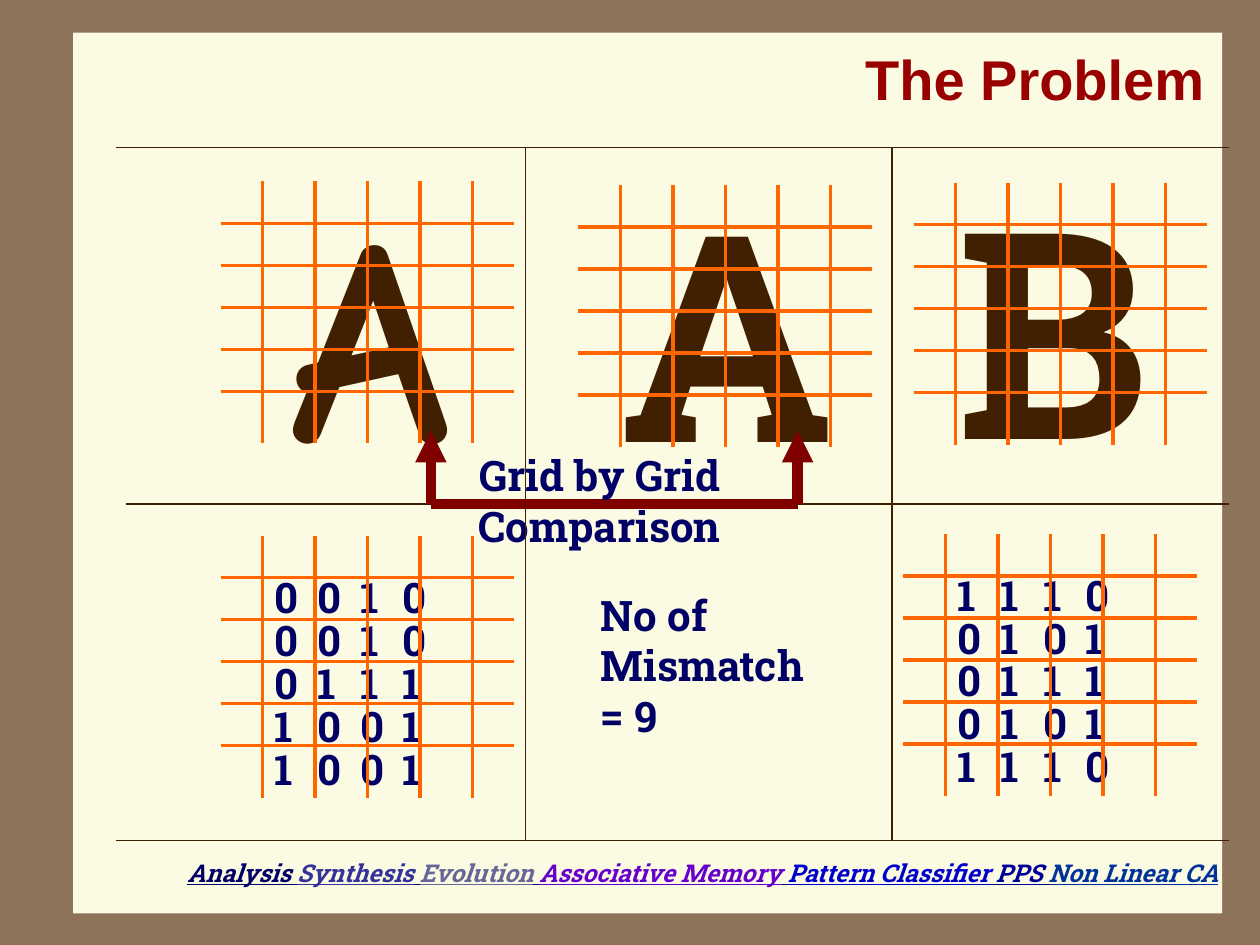
from typing import NamedTuple

from lxml import etree
from pptx import Presentation
from pptx import util as u
from pptx.dml.color import RGBColor
from pptx.enum import shapes, text
from pptx.oxml.ns import qn

BROWN, ORANGE, MAROON, NAVY = "402000", "FF6600", "800000", "000066"
SLAB = "Roboto Slab"
LEFT, RIGHT = 0.92, 9.75
TOP, MIDDLE, BOTTOM = 1.17, 4, 6.67
COLUMNS = (4.17, 7.08)
GRID_LINES = 5
CELL_W, CELL_H = 5 / 12, 1 / 3
MARGIN = 1 / 3
DIGIT_STEP = 0.34


class Box(NamedTuple):
    x: float
    y: float
    w: float
    h: float


class Style(NamedTuple):
    size: float
    font: str = SLAB
    color: str = NAVY
    italic: bool = False
    underline: bool = False


class Letter(NamedTuple):
    char: str
    font: str
    box: Box
    grid: tuple[float, float]


class Digits(NamedTuple):
    rows: tuple[str, ...]
    box: Box
    grid: tuple[float, float]


LABEL = Style(24)
LETTERS = (
    Letter("A", "Comic Neue", Box(2.21, 1.17, 1.47, 2.85), (1.75, 1.44)),
    Letter("A", SLAB, Box(4.83, 1.17, 1.85, 2.85), (4.59, 1.47)),
    Letter("B", SLAB, Box(7.5, 1.15, 1.85, 2.85), (7.25, 1.45)),
)
DIGITS = (
    Digits(("0010", "0010", "0111", "1001", "1001"),
           Box(2.08, 4.55, 1.76, 1.8), (1.75, 4.25)),
    Digits(("1110", "0101", "0111", "0101", "1110"),
           Box(7.5, 4.53, 1.76, 1.8), (7.17, 4.24)),
)
TOPICS = (
    ("Analysis", NAVY), ("Synthesis", "333399"), ("Evolution", "666699"),
    ("Associative Memory", "6600CC"), ("Pattern Classifier", "0000CC"),
    ("PPS", "000099"), ("Non Linear CA", "003399"),
)


def rgb(value: str) -> RGBColor:
    return RGBColor.from_string(value)


def add_line(parent, x1: float, y1: float, x2: float, y2: float,
             color: str = BROWN, width: float = 1, arrow: bool = False) -> None:
    """Draw a straight line, with an optional arrowhead at its start."""
    line = parent.add_connector(shapes.MSO_CONNECTOR.STRAIGHT,
                                *map(u.Inches, (x1, y1, x2, y2)))
    line.line.color.rgb = rgb(color)
    line.line.width = u.Pt(width)
    if arrow:
        etree.SubElement(line.line._get_or_add_ln(), qn("a:headEnd"), type="triangle")
    etree.SubElement(line._element.spPr, qn("a:effectLst"))


def add_box(parent, box: Box):
    """Add an empty wrapping text box and return its text frame."""
    tf = parent.add_textbox(*map(u.Inches, box)).text_frame
    tf.word_wrap = True
    return tf


def add_run(p, words: str, style: Style) -> None:
    r = p.add_run()
    r.text = words
    r.font.size = u.Pt(style.size)
    r.font.name = style.font
    r.font.bold = True
    r.font.italic = style.italic
    r.font.underline = style.underline
    r.font.color.rgb = rgb(style.color)


def add_text(parent, box: Box, words: str, style: Style,
             align=text.PP_ALIGN.LEFT):
    tf = add_box(parent, box)
    tf.paragraphs[0].alignment = align
    add_run(tf.paragraphs[0], words, style)
    return tf


def add_grid(parent, x: float, y: float) -> None:
    """Draw crossing lines that overshoot the cells on every side."""
    right = x + 2 * MARGIN + (GRID_LINES - 1) * CELL_W
    bottom = y + 2 * MARGIN + (GRID_LINES - 1) * CELL_H + 0.08
    for i in range(GRID_LINES):
        across = x + MARGIN + i * CELL_W
        add_line(parent, across, y, across, bottom, ORANGE, 2)
    for i in range(GRID_LINES):
        down = y + MARGIN + i * CELL_H
        add_line(parent, x, down, right, down, ORANGE, 2)


def add_letter(s, letter: Letter) -> None:
    group = s.shapes.add_group_shape().shapes
    add_text(group, letter.box, letter.char, Style(165, letter.font, BROWN))
    add_grid(group, *letter.grid)


def add_digits(s, digits: Digits) -> None:
    group = s.shapes.add_group_shape().shapes
    tf = add_box(group, digits.box)
    for i, row in enumerate(digits.rows):
        p = tf.paragraphs[0] if i == 0 else tf.add_paragraph()
        p.line_spacing = 0.85
        tabs = etree.SubElement(p._p.get_or_add_pPr(), qn("a:tabLst"))
        for stop in range(1, len(row)):
            etree.SubElement(tabs, qn("a:tab"), algn="l",
                             pos=str(u.Inches(stop * DIGIT_STEP)))
        add_run(p, "\t".join(row), LABEL)
    add_grid(group, *digits.grid)


def add_comparison(s) -> None:
    """Link the two A letters with a bracket of arrows and a caption."""
    group = s.shapes.add_group_shape().shapes
    start, end = 3.42, 6.33
    add_line(group, start, 3.42, start, MIDDLE, MAROON, 6, arrow=True)
    add_line(group, start, MIDDLE, end, MIDDLE, MAROON, 6)
    add_line(group, end, 3.42, end, MIDDLE, MAROON, 6, arrow=True)
    add_text(group, Box(3.17, 3.52, 3.18, 0.9), "Grid by Grid Comparison",
             LABEL, text.PP_ALIGN.CENTER)


def add_frame(s) -> None:
    """Draw the page panel, its rules and the footer of topics."""
    s.background.fill.solid()
    s.background.fill.fore_color.rgb = rgb("8C735A")
    sp = s.shapes.add_shape(shapes.MSO_SHAPE.RECTANGLE,
                            *map(u.Inches, Box(0.58, 0.26, 9.12, 6.99)))
    sp.shadow.inherit = False
    sp.fill.solid()
    sp.fill.fore_color.rgb = rgb("FBFAE2")
    sp.line.fill.background()
    for y in (TOP, BOTTOM):
        add_line(s.shapes, LEFT, y, RIGHT, y)

    p = add_box(s.shapes, Box(0.6, 6.76, 9.17, 0.57)).paragraphs[0]
    p.alignment = text.PP_ALIGN.RIGHT
    for i, (topic, color) in enumerate(TOPICS):
        if i:
            add_run(p, " ", Style(14, italic=True, underline=True))
        add_run(p, topic, Style(14, SLAB, color, italic=True, underline=True))


def main() -> None:
    prs = Presentation()
    prs.slide_width, prs.slide_height = u.Inches(10), u.Inches(7.5)
    s = prs.slides.add_slide(prs.slide_layouts[6])

    add_frame(s)
    title = add_text(s.shapes, Box(1.08, 0.08, 8.58, 1.08), "The Problem",
                     Style(32, "Arial", "990000"), text.PP_ALIGN.RIGHT)
    title.vertical_anchor = text.MSO_ANCHOR.MIDDLE
    add_line(s.shapes, 1, MIDDLE, RIGHT, MIDDLE)

    for letter in LETTERS:
        add_letter(s, letter)
    for x in COLUMNS:
        add_line(s.shapes, x, TOP, x, MIDDLE)
    add_comparison(s)
    for digits in DIGITS:
        add_digits(s, digits)
    for x in COLUMNS:
        add_line(s.shapes, x, MIDDLE, x, BOTTOM)
    add_text(s.shapes, Box(4.67, 4.63, 2.02, 1.3), "No of Mismatch = 9", LABEL)

    prs.save("out.pptx")


if __name__ == "__main__":
    main()
